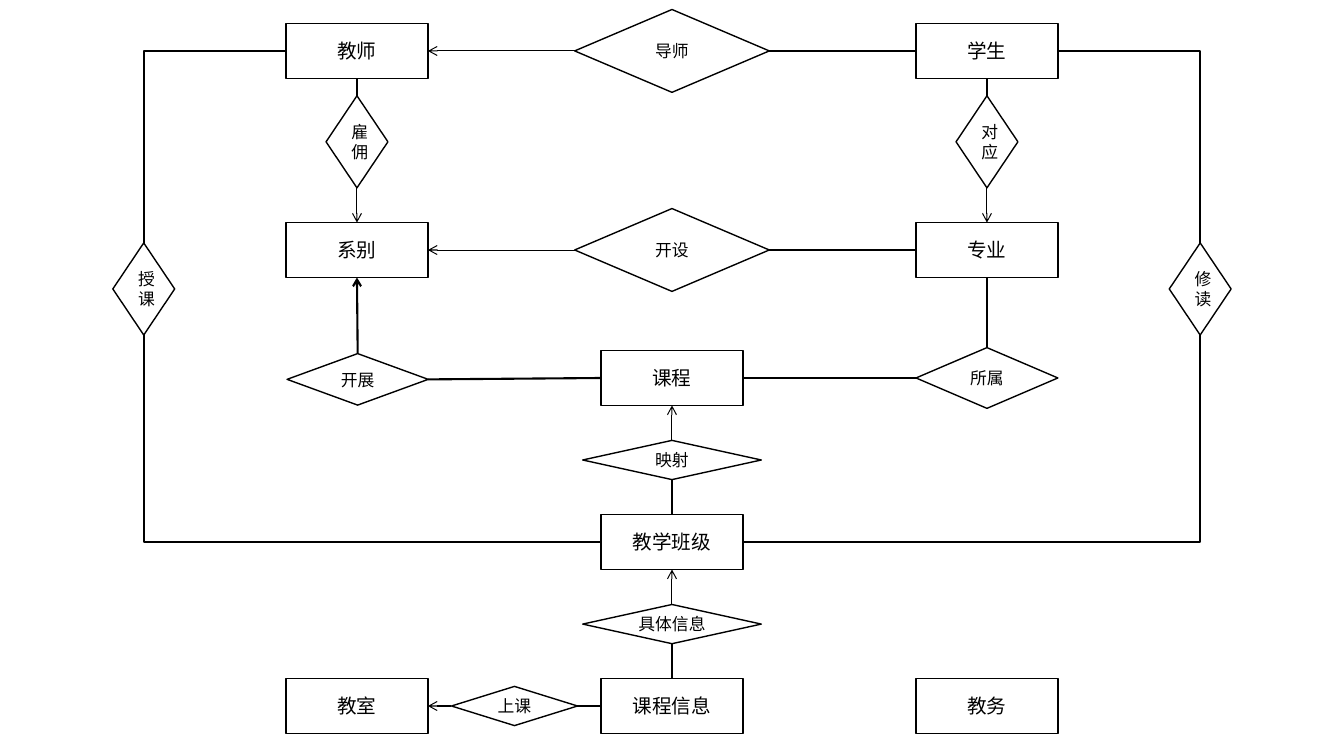
from lxml import etree
from pptx import Presentation
from pptx.dml.color import RGBColor
from pptx.enum import shapes, text
from pptx.oxml import ns
from pptx.util import Pt

BLACK = RGBColor(0, 0, 0)
WHITE = RGBColor(255, 255, 255)
FONT = "Noto Sans CJK SC"
TOP, LEFT, BOTTOM, RIGHT = range(4)

prs = Presentation()
prs.slide_width, prs.slide_height = Pt(960), Pt(540)
slide = prs.slides.add_slide(prs.slide_layouts[6])

# Columns lie symmetrically about the middle of the slide
middle = 480
left, right = middle - 225, middle + 225
far_left, far_right = middle - 377.3, middle + 377.3
row_1, row_2, row_3, row_4, row_5 = 36.4, 178.6, 270, 387.2, 504.3
box = (101.3, 39.2)
wide, tall, flat = (139, 59.2), (44.2, 65.8), (127.6, 28)

entities = {
    "教师": (left, row_1), "学生": (right, row_1),
    "系别": (left, row_2), "专业": (right, row_2),
    "课程": (middle, row_3), "教学班级": (middle, row_4),
    "课程信息": (middle, row_5), "教室": (left, row_5), "教务": (right, row_5),
}
relations = {
    "导师": (middle, row_1, wide), "开设": (middle, row_2, wide),
    "雇佣": (left, 101.3, tall), "对应": (right, 101.3, tall),
    "授课": (far_left, 206.4, tall), "修读": (far_right, 206.4, tall),
    "映射": (middle, 328.6, flat), "具体信息": (middle, 445.8, flat),
    "所属": (right, row_3, (101.3, 43.4)),
    "开展": (255.5, 271, (100.8, 36.8)),
    "上课": (367.5, row_5, (90, 28)),
}
# Entity, its side, relation, its side
plain_links = [
    ("学生", LEFT, "导师", RIGHT), ("学生", BOTTOM, "对应", TOP),
    ("教师", BOTTOM, "雇佣", TOP), ("专业", LEFT, "开设", RIGHT),
    ("专业", BOTTOM, "所属", TOP), ("课程", RIGHT, "所属", LEFT),
    ("课程", LEFT, "开展", RIGHT), ("教学班级", TOP, "映射", BOTTOM),
    ("课程信息", TOP, "具体信息", BOTTOM), ("课程信息", LEFT, "上课", RIGHT),
]
corner_links = [
    ("教师", LEFT, "授课", TOP), ("教学班级", LEFT, "授课", BOTTOM),
    ("学生", RIGHT, "修读", TOP), ("教学班级", RIGHT, "修读", BOTTOM),
]
# Relation, its side, entity, its side, line width
arrows = [
    ("导师", LEFT, "教师", RIGHT, 0.75), ("雇佣", BOTTOM, "系别", TOP, 0.75),
    ("对应", BOTTOM, "专业", TOP, 0.75), ("开设", LEFT, "系别", RIGHT, 0.75),
    ("映射", TOP, "课程", BOTTOM, 0.75), ("具体信息", TOP, "教学班级", BOTTOM, 0.75),
    ("上课", LEFT, "教室", RIGHT, 0.75), ("开展", TOP, "系别", BOTTOM, 1.5),
]
nodes = {}


def add_node(label, kind, x, y, size, font_size):
    """Draw a labelled shape centred on (x, y)."""
    width, height = size
    node = slide.shapes.add_shape(
        kind, Pt(x - width / 2), Pt(y - height / 2), Pt(width), Pt(height))
    node.shadow.inherit = False
    node.fill.solid()
    node.fill.fore_color.rgb = WHITE
    node.line.color.rgb = BLACK
    node.line.width = Pt(1)
    node.text_frame.text = label
    node.text_frame.vertical_anchor = text.MSO_ANCHOR.MIDDLE
    caption = node.text_frame.paragraphs[0]
    caption.alignment = text.PP_ALIGN.CENTER
    caption.font.name = FONT
    caption.font.size = Pt(font_size)
    caption.font.color.rgb = BLACK
    nodes[label] = node


def add_link(start, start_side, end, end_side, width=1.5,
             kind=shapes.MSO_CONNECTOR.STRAIGHT):
    link = slide.shapes.add_connector(kind, 0, 0, 0, 0)
    link.begin_connect(nodes[start], start_side)
    link.end_connect(nodes[end], end_side)
    link.line.color.rgb = BLACK
    link.line.width = Pt(width)
    etree.SubElement(link._element.spPr, ns.qn("a:effectLst"))
    return link


for label, (x, y) in entities.items():
    add_node(label, shapes.MSO_SHAPE.RECTANGLE, x, y, box, 14)
for label, (x, y, size) in relations.items():
    add_node(label, shapes.MSO_SHAPE.FLOWCHART_DECISION, x, y, size, 12)

for ends in plain_links:
    add_link(*ends)
for ends in corner_links:
    corner = add_link(*ends, kind=shapes.MSO_CONNECTOR.ELBOW)
    # One bend: sideways from the entity, then up or down to the relation
    corner._element.spPr.prstGeom.set("prst", "bentConnector2")
for ends in arrows:
    arrow = add_link(*ends)
    etree.SubElement(arrow.line._get_or_add_ln(), ns.qn("a:tailEnd"), type="arrow")

prs.save("out.pptx")
